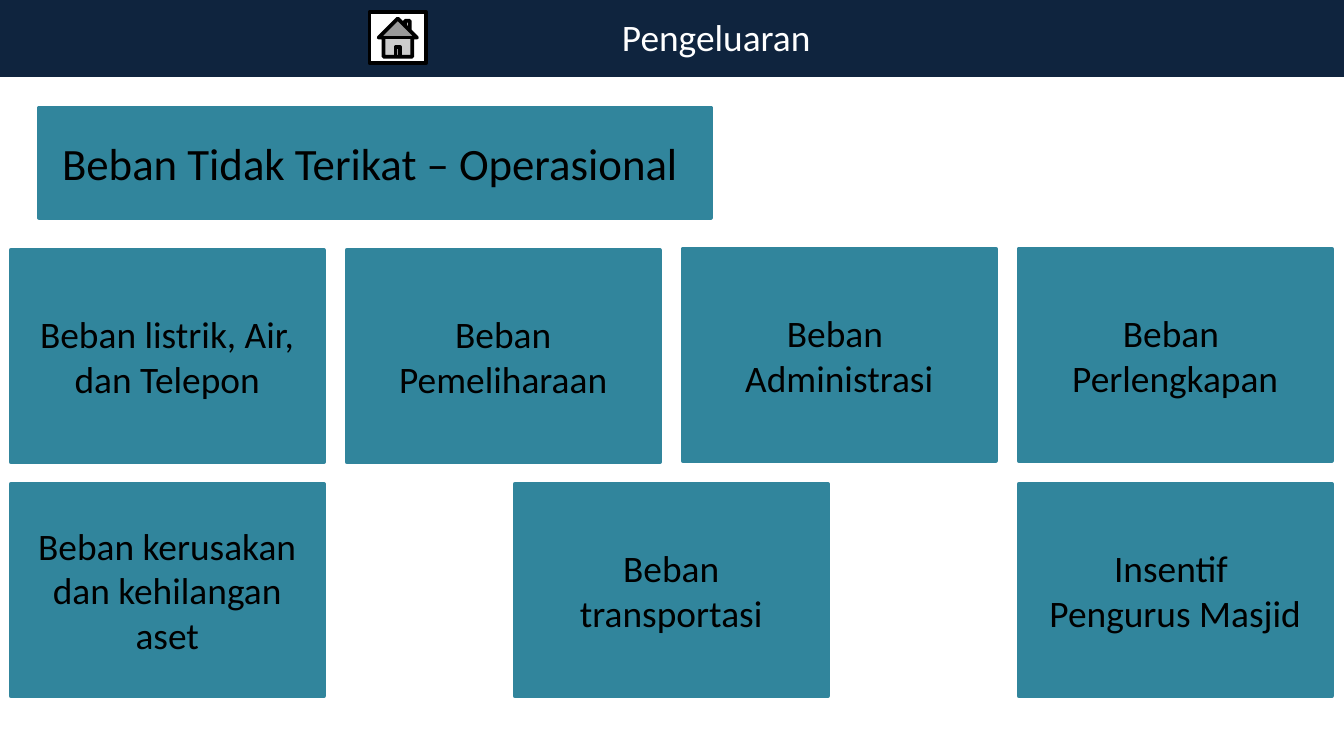
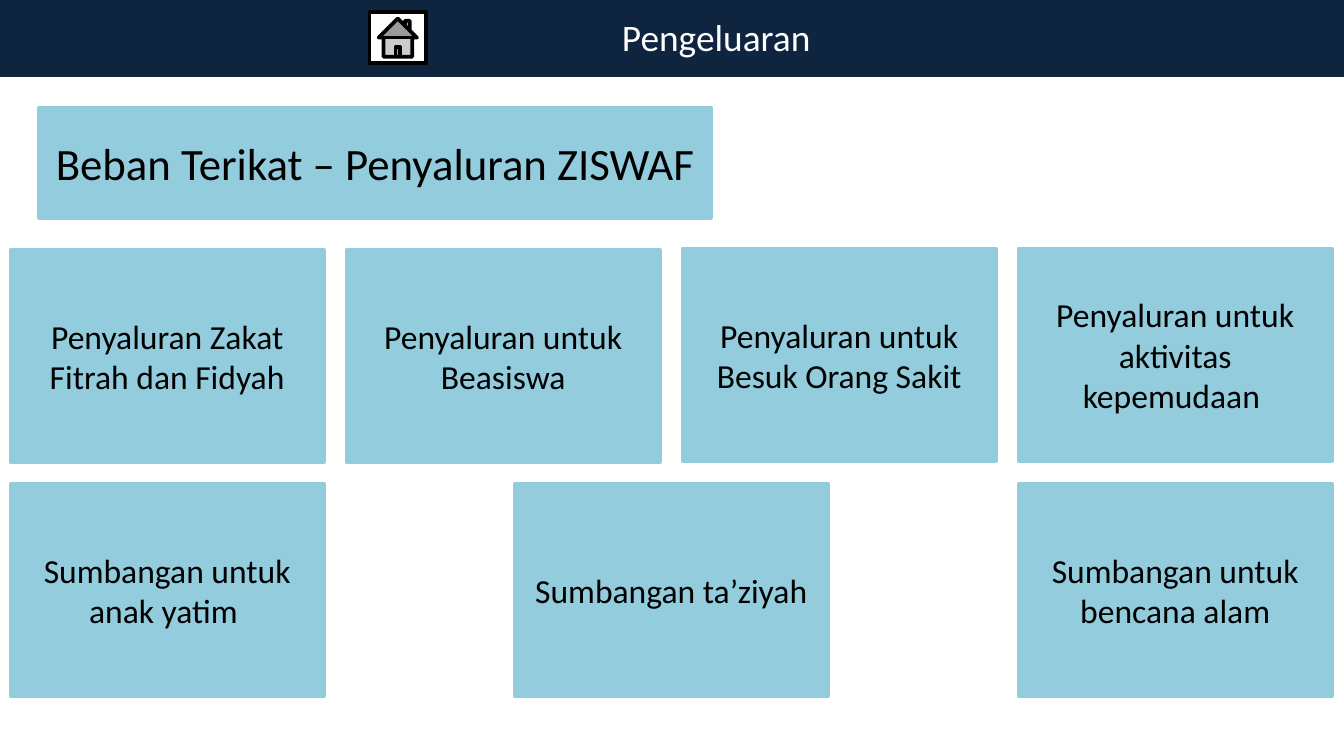
"""Build two slides of expense categories, each a heading above a grid of tiles."""
from dataclasses import dataclass

from pptx import Presentation
from pptx import util as u
from pptx.dml.color import RGBColor
from pptx.enum import shapes, text

COLOURS = {
    "navy": "0F243E",
    "teal": "31859C",
    "sky": "93CDDD",
    "black": "000000",
    "white": "FFFFFF",
}
FONT = "Calibri"
TILE_WIDTH, TILE_HEIGHT = 2.33, 1.58
TILE_LEFT, COLUMN_STEP = 0.08, 2.5
TILE_SPOTS = [(0, 3.6), (1.5, 3.6), (3, 3.6), (3, 1.85), (2, 1.85), (1, 1.86), (0, 1.86)]


@dataclass(frozen=True)
class Area:
    left: float
    top: float
    width: float
    height: float

    def lengths(self) -> tuple:
        return tuple(u.Inches(n) for n in (self.left, self.top, self.width, self.height))


@dataclass(frozen=True)
class Category:
    heading: str
    colour: str
    tile_size: int
    tiles: list[str]


BAND = Area(0, 0, 10, 0.56)
HOME = Area(2.75, 0.09, 0.42, 0.38)
HEADING = Area(0.29, 0.8, 5, 0.82)
TITLE = Area(4.33, 0.06, 2, 0.44)

CATEGORIES = [
    Category("Beban Tidak Terikat – Operasional ", "teal", 20, [
        "Beban kerusakan dan kehilangan aset",
        "Beban transportasi",
        "Insentif \nPengurus Masjid",
        "Beban \nPerlengkapan",
        "Beban \nAdministrasi",
        "Beban Pemeliharaan",
        "Beban listrik, Air, dan Telepon",
    ]),
    Category("Beban Terikat – Penyaluran ZISWAF ", "sky", 18, [
        "Sumbangan untuk anak yatim ",
        "Sumbangan ta’ziyah",
        "Sumbangan untuk bencana alam",
        "Penyaluran untuk aktivitas kepemudaan ",
        "Penyaluran untuk Besuk Orang Sakit",
        "Penyaluran untuk Beasiswa",
        "Penyaluran Zakat Fitrah dan Fidyah",
    ]),
]


def rgb(name: str) -> RGBColor:
    return RGBColor.from_string(COLOURS[name])


def write(box, words: str, size: int, colour: str) -> None:
    frame = box.text_frame
    frame.word_wrap = True
    for index, line in enumerate(words.split("\n")):
        para = frame.add_paragraph() if index else frame.paragraphs[0]
        para.alignment = text.PP_ALIGN.CENTER
        span = para.add_run()
        span.text = line
        span.font.name = FONT
        span.font.size = u.Pt(size)
        span.font.color.rgb = rgb(colour)


def add_box(page, area: Area, fill: str, line: str,
            kind=shapes.MSO_SHAPE.RECTANGLE):
    box = page.shapes.add_shape(kind, *area.lengths())
    box.shadow.inherit = False
    box.fill.solid()
    box.fill.fore_color.rgb = rgb(fill)
    box.line.color.rgb = rgb(line)
    box.line.width = u.Pt(2)
    return box


def add_label(page, area: Area, words: str, size: int, fill: str) -> None:
    box = add_box(page, area, fill, fill)
    box.text_frame.vertical_anchor = text.MSO_ANCHOR.MIDDLE
    write(box, words, size, "black")


def add_title(page) -> None:
    title = page.shapes.add_textbox(*TITLE.lengths())
    write(title, "Pengeluaran", 20, "white")
    title.text_frame.auto_size = text.MSO_AUTO_SIZE.SHAPE_TO_FIT_TEXT


def add_category(deck, category: Category) -> None:
    page = deck.slides.add_slide(deck.slide_layouts[6])
    page.background.fill.solid()
    page.background.fill.fore_color.rgb = rgb("white")
    add_box(page, BAND, "navy", "navy")
    add_box(page, HOME, "white", "black", shapes.MSO_SHAPE.ACTION_BUTTON_HOME)
    add_label(page, HEADING, category.heading, 24, category.colour)
    for (column, top), words in zip(TILE_SPOTS, category.tiles):
        area = Area(TILE_LEFT + column * COLUMN_STEP, top, TILE_WIDTH, TILE_HEIGHT)
        add_label(page, area, words, category.tile_size, category.colour)
    add_title(page)


def main() -> None:
    deck = Presentation()
    deck.slide_width = u.Inches(10)
    deck.slide_height = u.Inches(10 * 9 / 16)
    for category in CATEGORIES:
        add_category(deck, category)
    deck.save("out.pptx")


main()
